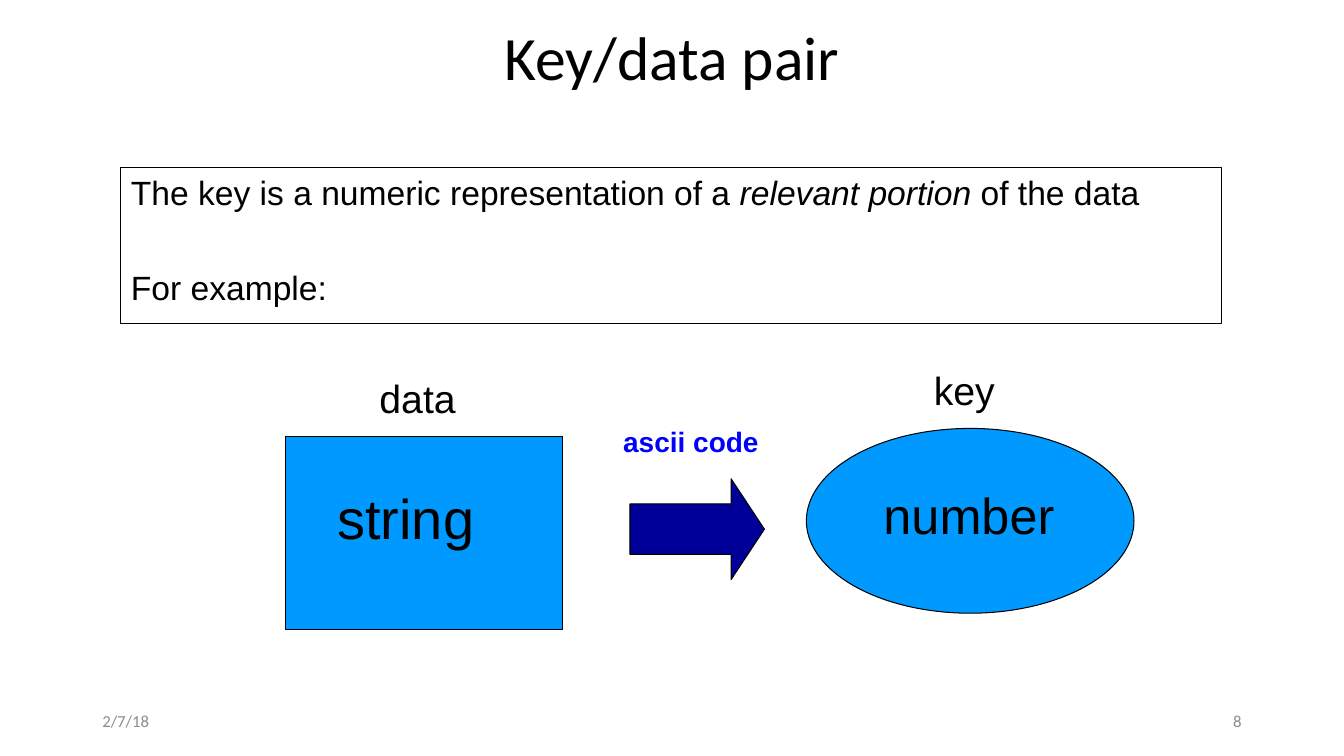
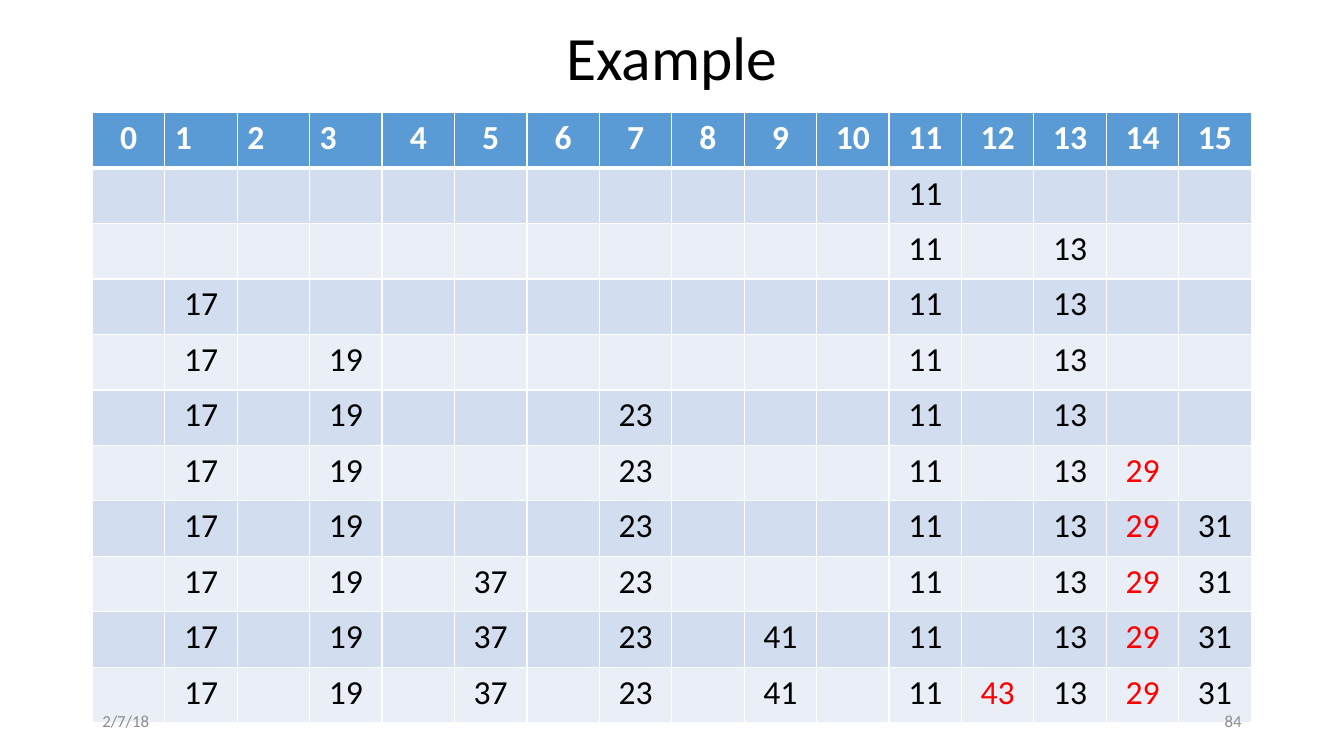
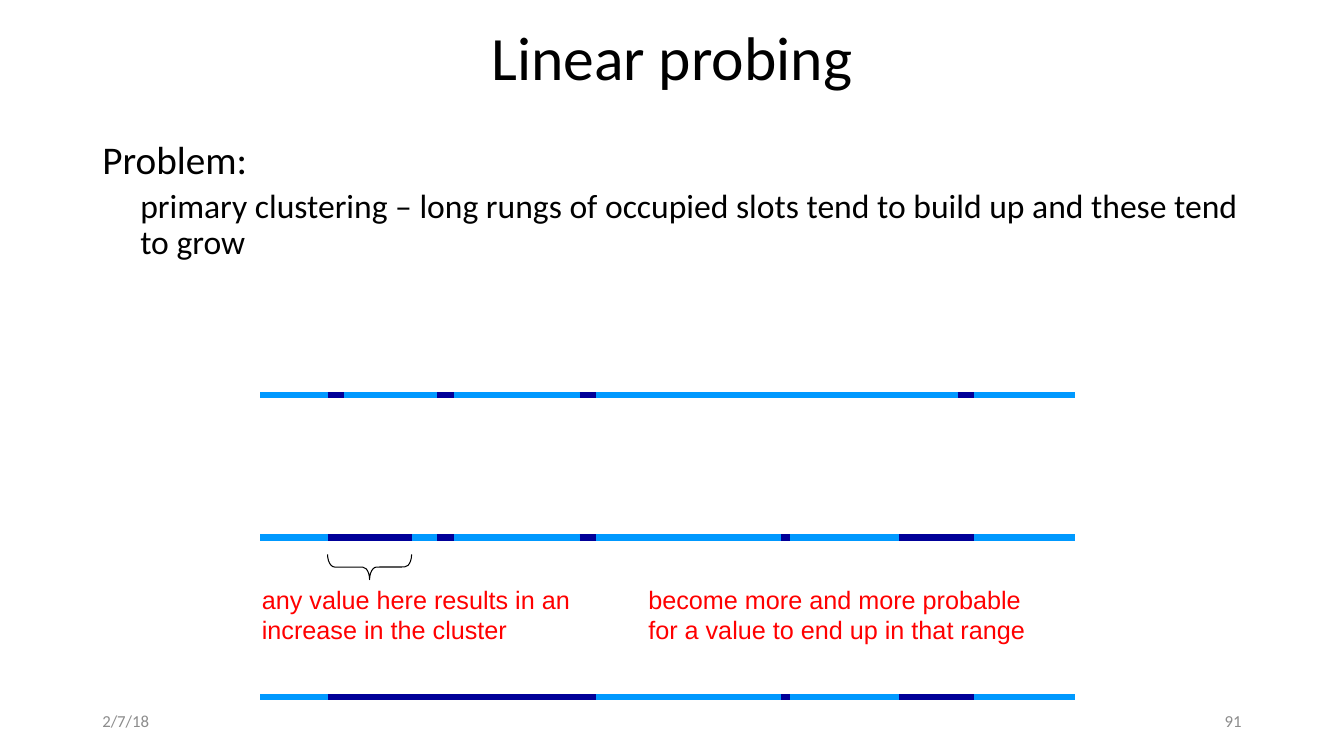
from lxml import etree
from pptx import Presentation
from pptx import util as u
from pptx.dml.color import RGBColor
from pptx.enum import shapes, text
from pptx.oxml import ns

Pt = u.Pt
HUES = {
    "ink": "000000", "paper": "FFFFFF", "foot": "8C8C8C", "sky": "0099FF",
    "navy": "000099", "blue": "0000FF", "red": "FF0000",
    "head": "5B9BD5", "odd": "D2DEEF", "even": "EAEFF7",
}
SANS, BASE = "Arial", "Calibri"
LEFT, MID, RIGHT = text.PP_ALIGN.LEFT, text.PP_ALIGN.CENTER, text.PP_ALIGN.RIGHT
KIND = shapes.MSO_SHAPE


# Shared helpers
def hue(name):
    return RGBColor.from_string(HUES[name])


def pts(*nums):
    return [Pt(n) for n in nums]


def add_run(par, words, size, face=SANS, tint="ink", **style):
    run = par.add_run()
    run.text = words
    font = run.font
    font.size, font.name, font.color.rgb = Pt(size), face, hue(tint)
    for key, val in style.items():
        setattr(font, key, val)


def set_frame(shape, anchor=text.MSO_ANCHOR.TOP):
    frame = shape.text_frame
    frame.word_wrap = True
    frame.auto_size = text.MSO_AUTO_SIZE.NONE
    frame.vertical_anchor = anchor
    return frame


def move(shape, box):
    shape.left, shape.top, shape.width, shape.height = pts(*box)


def label(slide, box, words, size, face=SANS, tint="ink", align=LEFT,
          anchor=text.MSO_ANCHOR.TOP, **style):
    par = set_frame(slide.shapes.add_textbox(*pts(*box)), anchor).paragraphs[0]
    par.alignment = align
    add_run(par, words, size, face, tint, **style)


def block(slide, kind, box, fill=None):
    shape = slide.shapes.add_shape(kind, *pts(*box))
    shape.shadow.inherit = False
    if fill:
        shape.fill.solid()
        shape.fill.fore_color.rgb = hue(fill)
    else:
        shape.fill.background()
    shape.line.color.rgb = hue("ink")
    shape.line.width = Pt(0.75)
    return shape


# Title and footers, the same on every slide
def start(deck, layout, name):
    slide = deck.slides.add_slide(deck.slide_layouts[layout])
    title = slide.shapes.title
    move(title, (66, 7.2, 828, 72.72))
    par = set_frame(title, text.MSO_ANCHOR.MIDDLE).paragraphs[0]
    par.alignment, par.line_spacing = MID, 0.9
    add_run(par, name, 44, BASE)
    return slide


def footer(slide, num):
    for left, words, align in ((66, "2/7/18", LEFT), (678, num, RIGHT)):
        label(slide, (left, 500.5, 216, 28.75), words, 12, BASE, "foot", align,
              text.MSO_ANCHOR.MIDDLE)


# Key/data slide
def key_note(slide, box):
    frame = set_frame(block(slide, KIND.RECTANGLE, box))
    top = frame.paragraphs[0]
    top.alignment = LEFT
    add_run(top, "The key is a numeric representation of a ", 24)
    add_run(top, "relevant portion", 24, italic=True)
    add_run(top, " of the data", 24)
    end = frame.add_paragraph()
    end.alignment, end.space_before = LEFT, Pt(39)
    add_run(end, "For example:", 24)


def key_map(slide, x, y):
    block(slide, KIND.OVAL, (x + 372, y + 48, 234, 132), "sky")
    block(slide, KIND.RECTANGLE, (x, y + 54, 198, 138), "sky")
    arrow = block(slide, KIND.RIGHT_ARROW, (x + 246, y + 84, 96, 72), "navy")
    arrow.adjustments[0], arrow.adjustments[1] = 0.5, 0.33
    for dx, dy, wide, high, words, size in (
            (30, 84, 150, 55, "string", 40),
            (420, 84, 150, 50, "number", 36),
            (60, 6, 138, 41, "data", 28),
            (456, 0, 138, 41, "key", 28)):
        label(slide, (x + dx, y + dy, wide, high), words, size)
    label(slide, (x + 234, y + 42, 120, 31), "ascii code", 20, tint="blue",
          bold=True)


# Hash table slide
def probe(keys, slots):
    """Give each key its slot and tell whether it had to step on."""
    used = {}
    for key in keys:
        slot = key % slots
        while slot in used:
            slot = (slot + 1) % slots
        used[slot] = (key, slot != key % slots)
    return used


def edge(cell, widths):
    props = cell._tc.get_or_add_tcPr()
    for side, width in zip("LRTB", widths):
        line = etree.SubElement(props, ns.qn("a:ln" + side), w=str(Pt(width)))
        fill = etree.SubElement(line, ns.qn("a:solidFill"))
        etree.SubElement(fill, ns.qn("a:srgbClr"), val=HUES["paper"])


def fill_cell(cell, shade, base):
    edge(cell, (1, 1, 1, base))
    cell.fill.solid()
    cell.fill.fore_color.rgb = hue(shade)


def hash_grid(slide, box, keys, slots):
    rows = len(keys) + 1
    grid = slide.shapes.add_table(rows, slots, *pts(*box)).table
    for col in grid.columns:
        col.width = Pt(box[2] / slots)
    for row in grid.rows:
        row.height = Pt(box[3] / rows)
    for col in range(slots):
        cell = grid.cell(0, col)
        fill_cell(cell, "head", 3)
        par = cell.text_frame.paragraphs[0]
        par.alignment = LEFT if col in (1, 2, 3) else MID
        add_run(par, str(col), 24, BASE, "paper", bold=True)
    for row in range(1, rows):
        used = probe(keys[:row], slots)
        for col in range(slots):
            cell = grid.cell(row, col)
            fill_cell(cell, "odd" if row % 2 else "even", 1)
            if col in used:
                key, moved = used[col]
                par = cell.text_frame.paragraphs[0]
                par.alignment = MID
                add_run(par, str(key), 24, BASE, "red" if moved else "ink")


# Linear probing slide
def problem(slide, box):
    body = slide.placeholders[1]
    move(body, box)
    frame = set_frame(body)
    lines = (("Problem:", 28, 0),
             ("primary clustering – long rungs of occupied slots tend to "
              "build up and these tend to grow", 24, 27))
    for lev, (words, size, dent) in enumerate(lines):
        par = frame.add_paragraph() if lev else frame.paragraphs[0]
        par.level, par.line_spacing = lev, 0.9
        par.space_before = Pt(5 * lev)
        props = par._p.get_or_add_pPr()
        props.set("marL", str(Pt(dent)))
        props.set("indent", "0")
        etree.SubElement(props, ns.qn("a:buNone"))
        add_run(par, words, size, BASE)


def stroke(group, x, y, wide, tint):
    line = group.shapes.add_connector(
        shapes.MSO_CONNECTOR.STRAIGHT, *pts(x, y, x + wide, y))
    line.line.color.rgb = hue(tint)
    line.line.width = Pt(4.5)
    etree.SubElement(line._element.spPr, ns.qn("a:effectLst"))


def strip(slide, x, y, runs):
    group = slide.shapes.add_group_shape()
    stroke(group, x, y, 582, "sky")
    for dx, wide in runs:
        stroke(group, x + dx, y, wide, "navy")


def cluster(slide, x, y):
    late = [(372, 6), (456, 54)]
    strip(slide, x, y, [(48, 12), (126, 12), (228, 12), (498, 12)])
    strip(slide, x, y + 102, [(48, 60), (126, 12), (228, 12)] + late)
    strip(slide, x, y + 216, [(48, 192)] + late)
    brace = block(slide, KIND.LEFT_BRACE, (x + 69, y + 93, 18, 60))
    brace.rotation = 270
    brace.adjustments[0], brace.adjustments[1] = 0.28, 0.5
    for dx, words in (
            (-6, "any value here results in an increase in the cluster"),
            (270, "become more and more probable for a value to end up in "
                  "that range")):
        label(slide, (x + dx, y + 132, 294, 50), words, 18, tint="red")


def main():
    deck = Presentation()
    deck.slide_width, deck.slide_height = pts(960, 540)

    slide = start(deck, 5, "Key/data pair")
    key_note(slide, (86.4, 119.5, 786.25, 111.6))
    key_map(slide, 204, 258)
    footer(slide, "8")

    slide = start(deck, 5, "Example")
    hash_grid(slide, (66, 80.5, 828, 435.6),
              [11, 13, 17, 19, 23, 29, 31, 37, 41, 43], 16)
    footer(slide, "84")

    slide = start(deck, 1, "Linear probing")
    problem(slide, (66, 96.5, 828, 390))
    cluster(slide, 186, 282)
    footer(slide, "91")

    deck.save("out.pptx")


if __name__ == "__main__":
    main()
